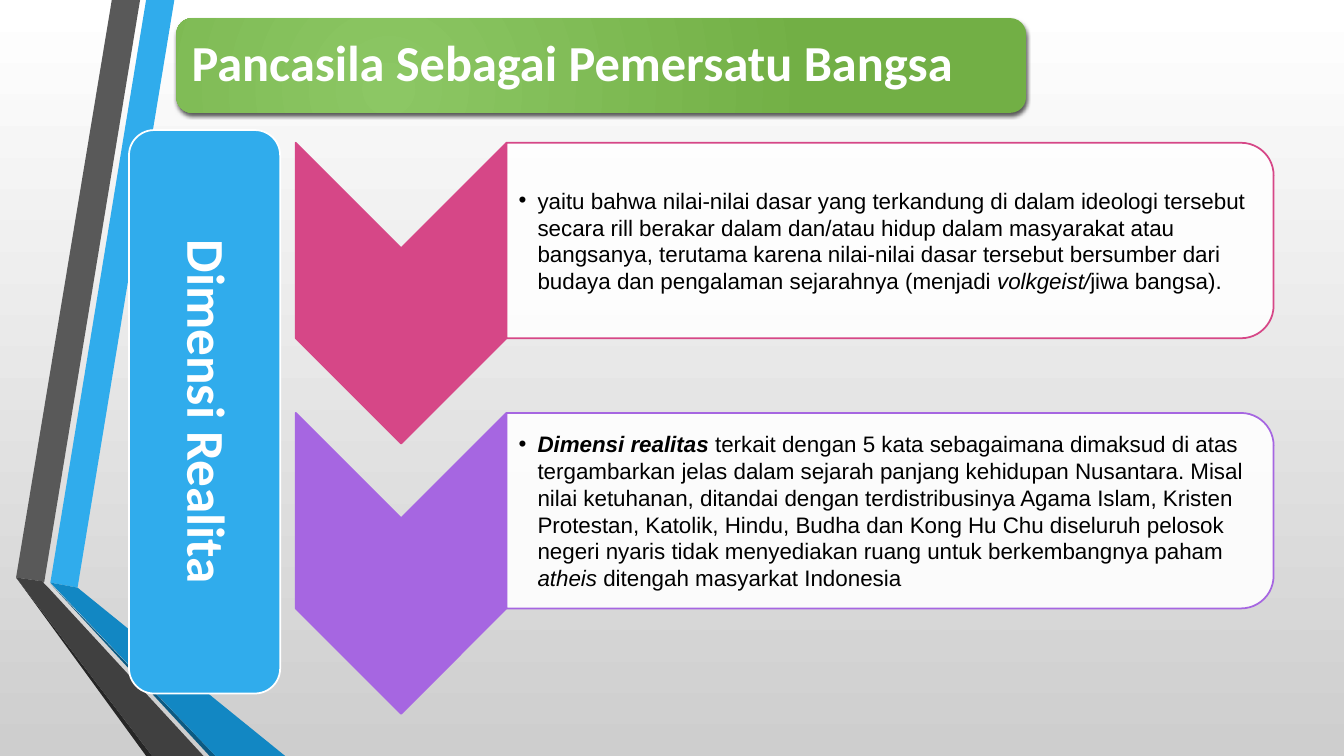
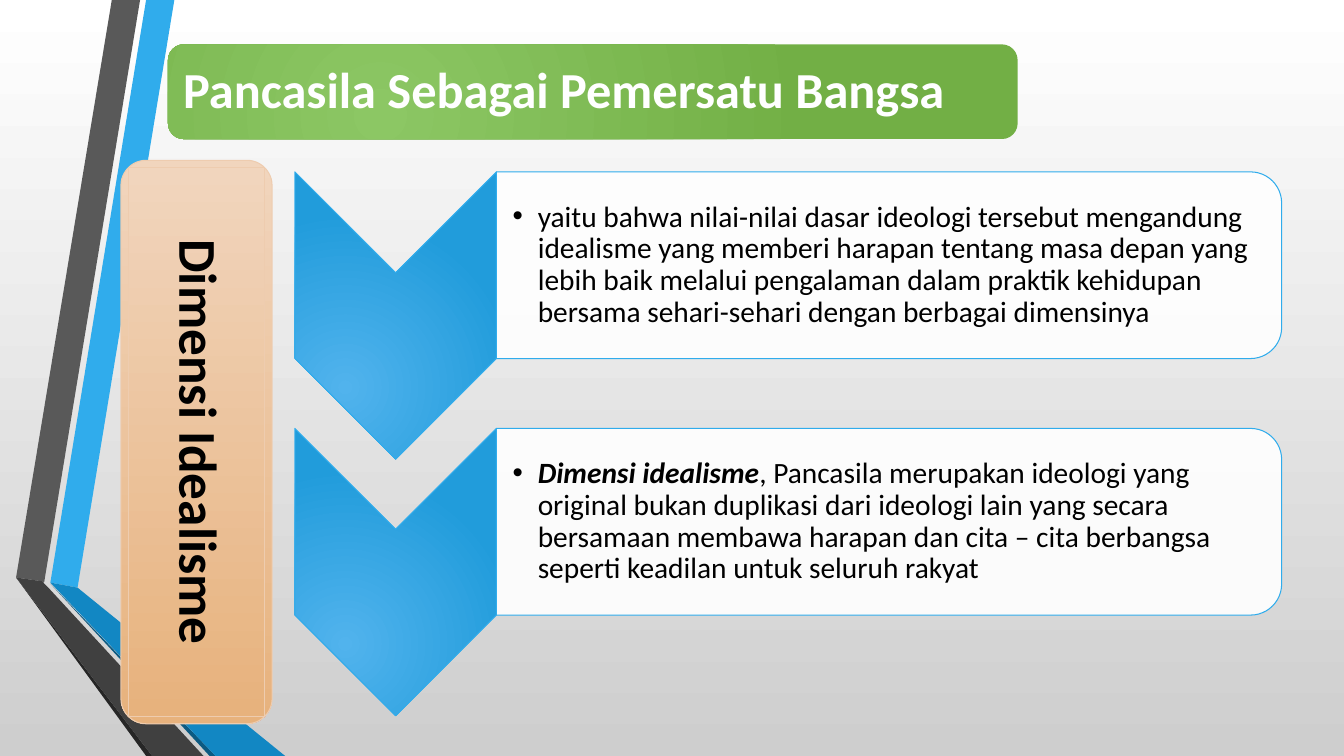
"""Build two slides on the dimensions of Pancasila as a unifying ideology."""

from dataclasses import dataclass
from typing import Any, NamedTuple, Optional

import pptx
import pptx.dml.color
import pptx.enum.shapes
import pptx.enum.text
import pptx.oxml
import pptx.oxml.ns
import pptx.util

COLUMNS, ROWS = 160, 90
CELL = 76200
SHAPES = pptx.enum.shapes.MSO_SHAPE
ALIGN = pptx.enum.text.PP_ALIGN


class Box(NamedTuple):
    """A rectangle in grid cells."""

    left: float
    top: float
    width: float
    height: float

    def inset(self, x: float, y: float) -> "Box":
        """Return the box shrunk on each side."""
        return Box(self.left + x, self.top + y, self.width - 2 * x, self.height - 2 * y)

    def emu(self) -> list[int]:
        """Return the box in slide units."""
        return [cells(value) for value in self]


class Span(NamedTuple):
    """A piece of text with its emphasis."""

    text: str
    bold: bool = False
    italic: bool = False


@dataclass(frozen=True)
class Paint:
    """A solid or gradient fill."""

    start: str
    end: Optional[str] = None
    radial: bool = False
    alpha: int = 100


@dataclass(frozen=True)
class Theme:
    """Colours, fonts and type sizes of the deck."""

    backdrop: Paint = Paint("FFFFFF", "CECECE")
    title: Paint = Paint("8CC764", "72AF45", radial=True)
    panel: Paint = Paint("FFFFFF", alpha=90)
    pink: Paint = Paint("D64787")
    violet: Paint = Paint("A666E1")
    blue: Paint = Paint("30ACEC")
    sky: Paint = Paint("51B3ED", "219CDB", radial=True)
    peach: Paint = Paint("F1D5BD", "E7B27D")
    peach_line: str = "EECCAF"
    light: str = "FFFFFF"
    dark: str = "000000"
    font: str = "Calibri"
    plain_font: str = "Arial"
    title_size: int = 36
    side_size: int = 38


THEME = Theme()


@dataclass(frozen=True)
class Ribbon:
    """One outline of the folded ribbons at the left edge."""

    color: str
    points: tuple[tuple[float, float], ...]


RIBBONS = (
    Ribbon("30ACEC", ((6, 69.36), (9.24, 69.96), (20.76, 0), (17.4, 0))),
    Ribbon("595959", ((16.68, 0), (13.32, 0), (1.92, 68.76), (5.28, 69.24))),
    Ribbon("262626", ((1.92, 68.76), (17.4, 90), (18.12, 90))),
    Ribbon("0C5A82", ((6, 69.48), (24.96, 90), (25.68, 90))),
    Ribbon("1287C3", ((6, 69.36), (25.68, 90), (33.96, 90), (9.24, 69.96))),
    Ribbon("404040", ((24.24, 90), (5.76, 69.96), (5.16, 69.36), (5.28, 69.24),
                      (1.92, 68.76), (18.12, 90))),
)


@dataclass(frozen=True)
class Step:
    """A chevron with its explanation."""

    paint: Paint
    line: str
    spans: tuple[Span, ...]


@dataclass(frozen=True)
class Dimension:
    """The content and measures of one slide."""

    title: Box
    title_shadow: bool
    side: Box
    side_text: str
    side_paint: Paint
    side_line: str
    side_color: str
    side_framed: bool
    chevron: Box
    pitch: float
    panel_width: float
    line_width: float
    font: str
    size: int
    spacing: float
    indent: float
    margin: float
    steps: tuple[Step, ...]


TITLE = "Pancasila Sebagai Pemersatu Bangsa"
DIMENSIONS = (
    Dimension(
        title=Box(21, 2.16, 101.16, 11.28), title_shadow=True,
        side=Box(15.36, 15.48, 18, 67.08), side_text="Dimensi Realita",
        side_paint=THEME.blue, side_line=THEME.light, side_color=THEME.light, side_framed=False,
        chevron=Box(35.2, 17, 25.1, 35.8), pitch=32.16, panel_width=91.32, line_width=1.25,
        font=THEME.plain_font, size=16, spacing=1, indent=2.25, margin=1.44,
        steps=(
            Step(THEME.pink, THEME.pink.start, (
                Span("yaitu bahwa nilai-nilai dasar yang terkandung di dalam ideologi tersebut "
                     "secara rill berakar dalam dan/atau hidup dalam masyarakat atau bangsanya, "
                     "terutama karena nilai-nilai dasar tersebut bersumber dari budaya dan "
                     "pengalaman sejarahnya (menjadi "),
                Span("volkgeist/", italic=True),
                Span("jiwa bangsa)."))),
            Step(THEME.violet, THEME.violet.start, (
                Span("Dimensi realitas ", bold=True, italic=True),
                Span("terkait dengan 5 kata sebagaimana dimaksud di atas tergambarkan jelas "
                     "dalam sejarah panjang kehidupan Nusantara. Misal nilai ketuhanan, ditandai "
                     "dengan terdistribusinya Agama Islam, Kristen Protestan, Katolik, Hindu, "
                     "Budha dan Kong Hu Chu diseluruh pelosok negeri nyaris tidak menyediakan "
                     "ruang untuk berkembangnya paham "),
                Span("atheis", italic=True),
                Span(" ditengah masyarkat Indonesia"))),
        )),
    Dimension(
        title=Box(20, 5.28, 101.16, 11.28), title_shadow=False,
        side=Box(14.4, 19.08, 18, 67.08), side_text="Dimensi Idealisme",
        side_paint=THEME.peach, side_line=THEME.peach_line, side_color=THEME.dark,
        side_framed=True,
        chevron=Box(35.1, 20.46, 24, 34.2), pitch=30.54, panel_width=93.48, line_width=0.75,
        font=THEME.font, size=21, spacing=0.9, indent=3, margin=1.92,
        steps=(
            Step(THEME.sky, THEME.blue.start, (
                Span("yaitu bahwa nilai-nilai dasar ideologi tersebut mengandung idealisme yang "
                     "memberi harapan tentang masa depan yang lebih baik melalui pengalaman dalam "
                     "praktik kehidupan bersama sehari-sehari dengan berbagai dimensinya"),)),
            Step(THEME.sky, THEME.blue.start, (
                Span("Dimensi idealisme", bold=True, italic=True),
                Span(", Pancasila merupakan ideologi yang original bukan duplikasi dari ideologi "
                     "lain yang secara bersamaan membawa harapan dan cita – cita berbangsa "
                     "seperti keadilan untuk seluruh rakyat"))),
        )),
)


def cells(count: float) -> int:
    """Convert grid cells to slide units."""
    return round(count * CELL)


def rgb(color: str) -> Any:
    """Convert a hexadecimal colour."""
    return pptx.dml.color.RGBColor.from_string(color)


def xml(markup: str) -> Any:
    """Parse one drawing element written with the a: prefix."""
    head, mark, tail = markup.partition(">")
    closing = "/" if head.endswith("/") else ""
    head = head.removesuffix("/")
    return pptx.oxml.parse_xml(f"{head} {pptx.oxml.ns.nsdecls('a')}{closing}{mark}{tail}")


def fill_with(fill: Any, paint: Paint) -> None:
    """Apply a solid or top-to-bottom gradient fill."""
    if paint.end is None:
        fill.solid()
        fill.fore_color.rgb = rgb(paint.start)
        return
    fill.gradient()
    fill.gradient_angle = 270
    for stop, color, position in zip(fill.gradient_stops, (paint.start, paint.end), (0, 1)):
        stop.color.rgb = rgb(color)
        stop.position = position


def paint_shape(shape: Any, paint: Optional[Paint], line: Optional[str] = None,
                width: float = 1) -> None:
    """Set the fill and outline of a shape and drop its shadow."""
    shape.shadow.inherit = False
    if line is None:
        shape.line.fill.background()
    else:
        shape.line.color.rgb = rgb(line)
        shape.line.width = pptx.util.Pt(width)
    if paint is None:
        shape.fill.background()
        return
    fill_with(shape.fill, paint)
    properties = shape.element.spPr
    if paint.radial:
        linear = properties.find(".//" + pptx.oxml.ns.qn("a:lin"))
        linear.getparent().replace(linear, xml(
            '<a:path path="circle"><a:fillToRect l="50000" t="100000" r="100000" b="50000"/>'
            "</a:path>"))
    if paint.alpha < 100:
        color = properties.find(pptx.oxml.ns.qn("a:solidFill"))[0]
        color.append(xml(f'<a:alpha val="{paint.alpha * 1000}"/>'))


def add_block(page: Any, kind: Any, box: Box, paint: Optional[Paint],
              line: Optional[str] = None, width: float = 1, turned: bool = False) -> Any:
    """Add a preset shape that covers the box, turned clockwise if asked."""
    if turned:
        shift = (box.width - box.height) / 2
        box = Box(box.left + shift, box.top - shift, box.height, box.width)
    shape = page.shapes.add_shape(kind, *box.emu())
    shape.rotation = 90 if turned else 0
    paint_shape(shape, paint, line, width)
    return shape


def write(shape: Any, spans: tuple[Span, ...], *, font: str, size: int, color: str,
          margins: tuple[float, float], align: Any = ALIGN.LEFT, spacing: float = 0.9,
          indent: float = 0, vertical: bool = False) -> None:
    """Fill a shape with one formatted paragraph."""
    frame = shape.text_frame
    frame.word_wrap = True
    frame.auto_size = pptx.enum.text.MSO_AUTO_SIZE.NONE
    frame.vertical_anchor = pptx.enum.text.MSO_ANCHOR.MIDDLE
    frame.margin_left = cells(margins[0])
    frame.margin_top = frame.margin_right = frame.margin_bottom = cells(margins[1])
    if vertical:
        frame._txBody.bodyPr.set("vert", "vert")
    para = frame.paragraphs[0]
    para.alignment = align
    para.line_spacing = spacing
    para.space_before = pptx.util.Pt(0)
    properties = para._p.get_or_add_pPr()
    properties.set("marL", str(cells(indent)))
    properties.set("indent", str(-cells(indent)))
    for span in spans:
        run = para.add_run()
        run.text = span.text
        run.font.name, run.font.size = font, pptx.util.Pt(size)
        run.font.bold, run.font.italic = span.bold, span.italic
        run.font.color.rgb = rgb(color)


def place(holder: Any, box: Box) -> None:
    """Move a placeholder to the box and in front of the shapes."""
    holder.left, holder.top, holder.width, holder.height = box.emu()
    holder.element.getparent().append(holder.element)


def dress_master(master: Any, page: Any) -> None:
    """Give the slide master its background and ribbons."""
    fill_with(master.background.fill, THEME.backdrop)
    for number, ribbon in enumerate(RIBBONS, 101):
        points = [(cells(x), cells(y)) for x, y in ribbon.points]
        builder = page.shapes.build_freeform(*points[0])
        builder.add_line_segments(points[1:], close=True)
        shape = builder.convert_to_shape()
        paint_shape(shape, Paint(ribbon.color))
        shape.element.nvSpPr.cNvPr.set("id", str(number))
        master.shapes.element.append(shape.element)


def draw_title(page: Any, item: Dimension) -> None:
    """Draw the title bar and its text."""
    bar = add_block(page, SHAPES.ROUNDED_RECTANGLE, item.title, THEME.title)
    if item.title_shadow:
        effects = bar.element.spPr.find(pptx.oxml.ns.qn("a:effectLst"))
        effects.append(xml(
            '<a:outerShdw blurRad="38100" dist="25400" dir="5400000" rotWithShape="0">'
            '<a:srgbClr val="000000"><a:alpha val="64000"/></a:srgbClr></a:outerShdw>'))
    place(page.shapes.title, item.title)
    write(page.shapes.title, (Span(TITLE, bold=True),), font=THEME.font,
          size=THEME.title_size, color=THEME.light, margins=(1.8, 1.8))


def draw_steps(page: Any, item: Dimension) -> None:
    """Draw the chevrons with their panels and texts."""
    for index, step in enumerate(item.steps):
        chevron = item.chevron._replace(top=item.chevron.top + index * item.pitch)
        panel = Box(chevron.left + chevron.width, chevron.top, item.panel_width,
                    0.65 * chevron.height)
        add_block(page, SHAPES.CHEVRON, chevron, step.paint, step.line, item.line_width, True)
        add_block(page, SHAPES.ROUND_2_SAME_RECTANGLE, panel, THEME.panel, step.line,
                  item.line_width, True)
        body = page.placeholders[index + 1]
        place(body, Box(panel.left, panel.top + 1.1, panel.width - 1.1, panel.height - 2.2))
        write(body, step.spans, font=item.font, size=item.size, color=THEME.dark,
              margins=(item.margin, 0.12), spacing=item.spacing, indent=item.indent)


def draw_side(page: Any, item: Dimension) -> None:
    """Draw the upright label at the left."""
    add_block(page, SHAPES.ROUNDED_RECTANGLE, item.side, item.side_paint, item.side_line,
              item.line_width)
    frame = (item.side_paint, item.side_line) if item.side_framed else (None, None)
    label = add_block(page, SHAPES.RECTANGLE, item.side.inset(0.88, 0.88), *frame,
                      item.line_width)
    write(label, (Span(item.side_text, bold=True),), font=THEME.font, size=THEME.side_size,
          color=item.side_color, margins=(0.96, 0.96), align=ALIGN.CENTER, vertical=True)


def main() -> None:
    """Build and save the deck."""
    deck = pptx.Presentation()
    deck.slide_width, deck.slide_height = cells(COLUMNS), cells(ROWS)
    pages = [deck.slides.add_slide(deck.slide_layouts[3]) for _ in DIMENSIONS]
    dress_master(deck.slide_master, pages[0])
    for page, item in zip(pages, DIMENSIONS):
        draw_title(page, item)
        draw_steps(page, item)
        draw_side(page, item)
    deck.save("out.pptx")


if __name__ == "__main__":
    main()
